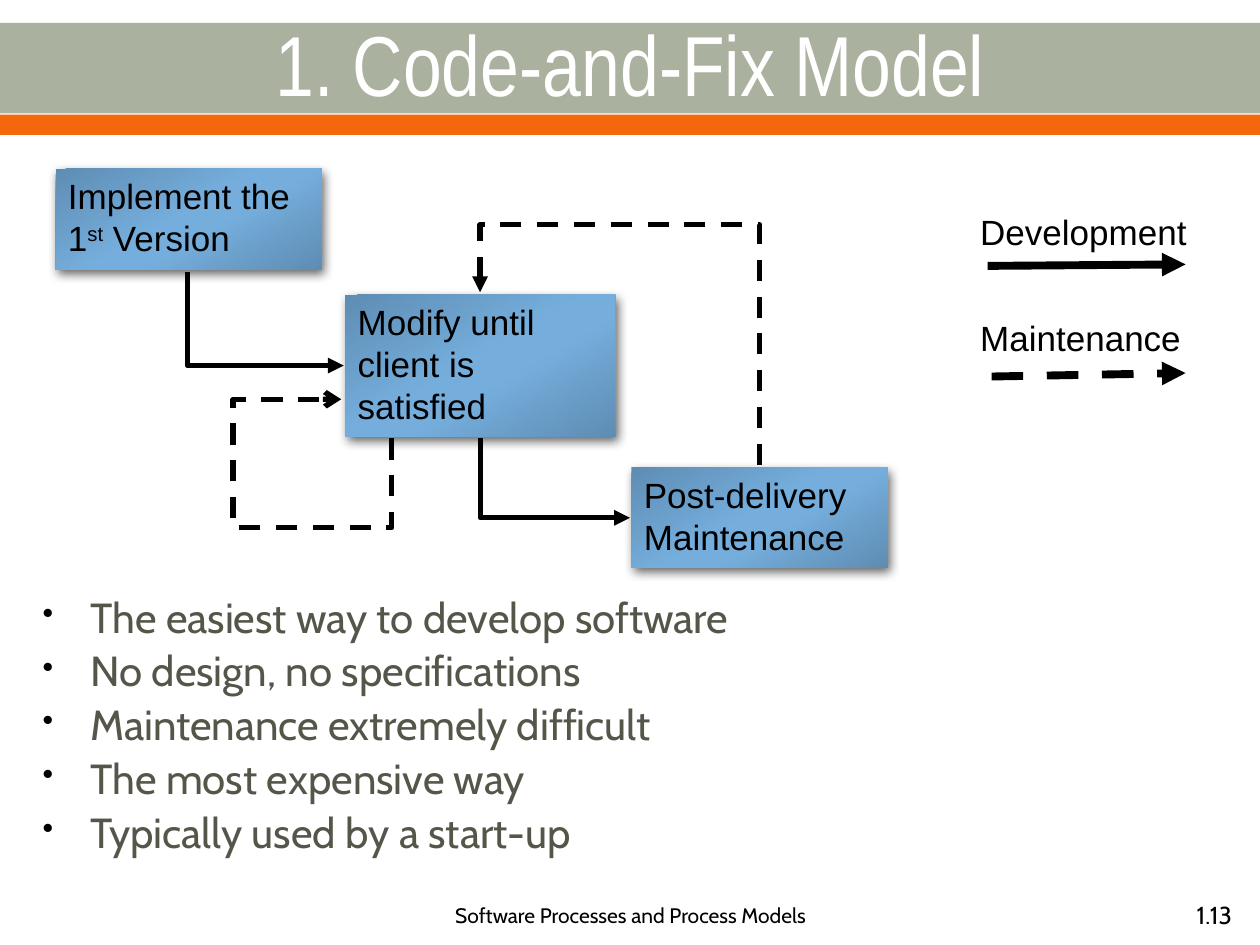
from lxml import etree
from pptx import Presentation
from pptx.dml.color import RGBColor
from pptx.enum.dml import MSO_LINE
from pptx.enum.shapes import MSO_CONNECTOR, MSO_SHAPE
from pptx.enum.text import MSO_ANCHOR, PP_ALIGN
from pptx.oxml import parse_xml
from pptx.oxml.ns import nsdecls, qn
from pptx.util import Cm, Pt

RECTANGLE = MSO_SHAPE.RECTANGLE
STRAIGHT, ELBOW = MSO_CONNECTOR.STRAIGHT, MSO_CONNECTOR.ELBOW
DASH = MSO_LINE.DASH
TOP, MIDDLE = MSO_ANCHOR.TOP, MSO_ANCHOR.MIDDLE
LEFT, CENTER, RIGHT = PP_ALIGN.LEFT, PP_ALIGN.CENTER, PP_ALIGN.RIGHT

COLORS = {
    "sage": "ABB19F",
    "orange": "F4680B",
    "white": "FFFFFF",
    "black": "000000",
    "olive": "55554A",
    "steel": "5E8DB3",
    "sky": "75AEDD",
}
STEP_GRADIENT = [(0, "steel"), (48, "sky"), (58, "sky"), (100, "steel")]


def add_bullet(paragraph):
    properties = paragraph._p.get_or_add_pPr()
    properties.set("marL", str(Cm(0.96)))
    properties.set("indent", str(-Cm(0.96)))
    color = etree.SubElement(properties, qn("a:buClr"))
    etree.SubElement(color, qn("a:srgbClr"), val=COLORS["black"])
    etree.SubElement(properties, qn("a:buSzPct"), val="75000")
    etree.SubElement(properties, qn("a:buChar"), char="•")


def write_text(frame, text, size=20, font="Arial", color="black", align=LEFT,
               anchor=TOP, bullets=False, spacing=None, gap=0):
    frame.word_wrap = True
    frame.vertical_anchor = anchor
    for index, line in enumerate(text.split("\n")):
        paragraph = frame.add_paragraph() if index else frame.paragraphs[0]
        paragraph.alignment = align
        if spacing:
            paragraph.line_spacing = spacing
        paragraph.space_before = Pt(gap if index else 0)
        if bullets:
            add_bullet(paragraph)
        for position, part in enumerate(line.split("^")):
            run = paragraph.add_run()
            run.text = part
            run.font.size = Pt(size)
            run.font.name = font
            run.font.color.rgb = RGBColor.from_string(COLORS[color])
            if position % 2:
                run.font._element.set("baseline", "30000")


class ModelSlide:
    def __init__(self, presentation):
        self.slide = presentation.slides.add_slide(presentation.slide_layouts[6])
        self.shapes = self.slide.shapes
        self.line_color = RGBColor.from_string(COLORS["black"])

    def band(self, top, height, color):
        band = self.shapes.add_shape(RECTANGLE, 0, Cm(top), Cm(25.4), Cm(height))
        band.shadow.inherit = False
        band.fill.solid()
        band.fill.fore_color.rgb = RGBColor.from_string(COLORS[color])
        band.line.fill.background()

    def text(self, box, text, **style):
        holder = self.shapes.add_textbox(*map(Cm, box))
        write_text(holder.text_frame, text, **style)

    def step(self, box, text):
        step = self.shapes.add_shape(RECTANGLE, *map(Cm, box))
        stops = "".join(
            f'<a:gs pos="{position * 1000}"><a:srgbClr val="{COLORS[name]}"/></a:gs>'
            for position, name in STEP_GRADIENT)
        properties = step._element.spPr
        properties.append(parse_xml(
            f'<a:gradFill {nsdecls("a")} rotWithShape="1"><a:gsLst>{stops}</a:gsLst>'
            '<a:lin ang="3600000" scaled="0"/></a:gradFill>'))
        step.line.fill.background()
        properties.append(parse_xml(
            f'<a:effectLst {nsdecls("a")}><a:outerShdw blurRad="{Pt(6)}" '
            f'dist="{Pt(3)}" dir="3600000" algn="ctr" rotWithShape="0">'
            f'<a:srgbClr val="{COLORS["black"]}"><a:alpha val="60000"/></a:srgbClr>'
            '</a:outerShdw></a:effectLst>'))
        write_text(step.text_frame, text)

    def stroke(self, shape, width, dashed, head="triangle"):
        shape.line.color.rgb = self.line_color
        shape.line.width = Pt(width)
        if dashed:
            shape.line.dash_style = DASH
        properties = shape._element.spPr
        etree.SubElement(properties.find(qn("a:ln")), qn("a:tailEnd"), type=head)
        if properties.find(qn("a:effectLst")) is None:
            etree.SubElement(properties, qn("a:effectLst"))

    def arrow(self, start, end, dashed=False):
        arrow = self.shapes.add_connector(STRAIGHT, *map(Cm, start + end))
        self.stroke(arrow, 4.5, dashed)

    def elbow(self, start, end, dashed=False, bend=None):
        (x1, y1), (x2, y2) = start, end
        half_width, half_height = abs(y2 - y1) / 2, abs(x2 - x1) / 2
        x, y = (x1 + x2) / 2, (y1 + y2) / 2
        elbow = self.shapes.add_connector(
            ELBOW, Cm(x - half_width), Cm(y - half_height),
            Cm(x + half_width), Cm(y + half_height))
        frame = elbow._element.spPr.find(qn("a:xfrm"))
        frame.set("rot", str((270 if x2 > x1 else 90) * 60000))
        frame.set("flipH", "1")
        geometry = elbow._element.spPr.find(qn("a:prstGeom"))
        if bend is None:
            geometry.set("prst", "bentConnector2")
        else:
            guides = geometry.find(qn("a:avLst"))
            etree.SubElement(guides, qn("a:gd"), name="adj1",
                             fmla=f"val {round(bend * 100000)}")
        self.stroke(elbow, 3, dashed)

    def loop(self, points):
        first, *rest = [(Cm(x), Cm(y)) for x, y in points]
        builder = self.shapes.build_freeform(*first)
        builder.add_line_segments(rest, close=False)
        loop = builder.convert_to_shape()
        loop.shadow.inherit = False
        loop.fill.background()
        self.stroke(loop, 3, True, head="arrow")


def main():
    presentation = Presentation()
    presentation.slide_width, presentation.slide_height = Cm(25.4), Cm(19.05)
    model = ModelSlide(presentation)

    model.band(0.46, 1.83, "sage")
    model.band(2.31, 0.41, "orange")
    model.text((0, 0.48, 25.4, 1.57), "1. Code-and-Fix Model", size=48.6,
               font="Arial Narrow", color="white", align=CENTER, anchor=MIDDLE)
    model.text((0.61, 11.91, 14.71, 5.99),
               "The easiest way to develop software\n"
               "No design, no specifications\n"
               "Maintenance extremely difficult\n"
               "The most expensive way\n"
               "Typically used by a start-up",
               size=24, font="Cabin", color="olive", bullets=True,
               spacing=0.9, gap=4.8)
    model.text((8.69, 17.93, 8.05, 1.02), "Software Processes and Process Models",
               size=12, font="Cabin", align=CENTER, anchor=MIDDLE)
    model.text((20.7, 17.93, 4.39, 1.02), "1.13", size=14, font="Cabin",
               align=RIGHT, anchor=MIDDLE)

    model.step((1.12, 3.4, 5.36, 2.03), "Implement the 1^st^ Version")
    model.step((6.96, 5.94, 5.44, 2.87), "Modify until client is satisfied")
    model.step((12.73, 9.42, 5.16, 2.03), "Post-delivery Maintenance")

    model.text((19.51, 4.11, 5.16, 1.09), "Development")
    model.arrow((19.91, 5.36), (23.9, 5.33))
    model.text((19.51, 6.25, 5.16, 1.09), "Maintenance")
    model.arrow((19.99, 7.59), (23.9, 7.52), dashed=True)

    model.elbow((3.78, 5.49), (6.93, 7.37))
    model.elbow((9.68, 8.84), (12.7, 10.44))
    model.elbow((15.32, 9.37), (9.68, 5.89), dashed=True, bend=1.39)
    model.loop([(7.9, 8.84), (7.9, 10.64), (4.7, 10.64), (4.7, 8.05), (6.88, 8.05)])

    presentation.save("out.pptx")


if __name__ == "__main__":
    main()
